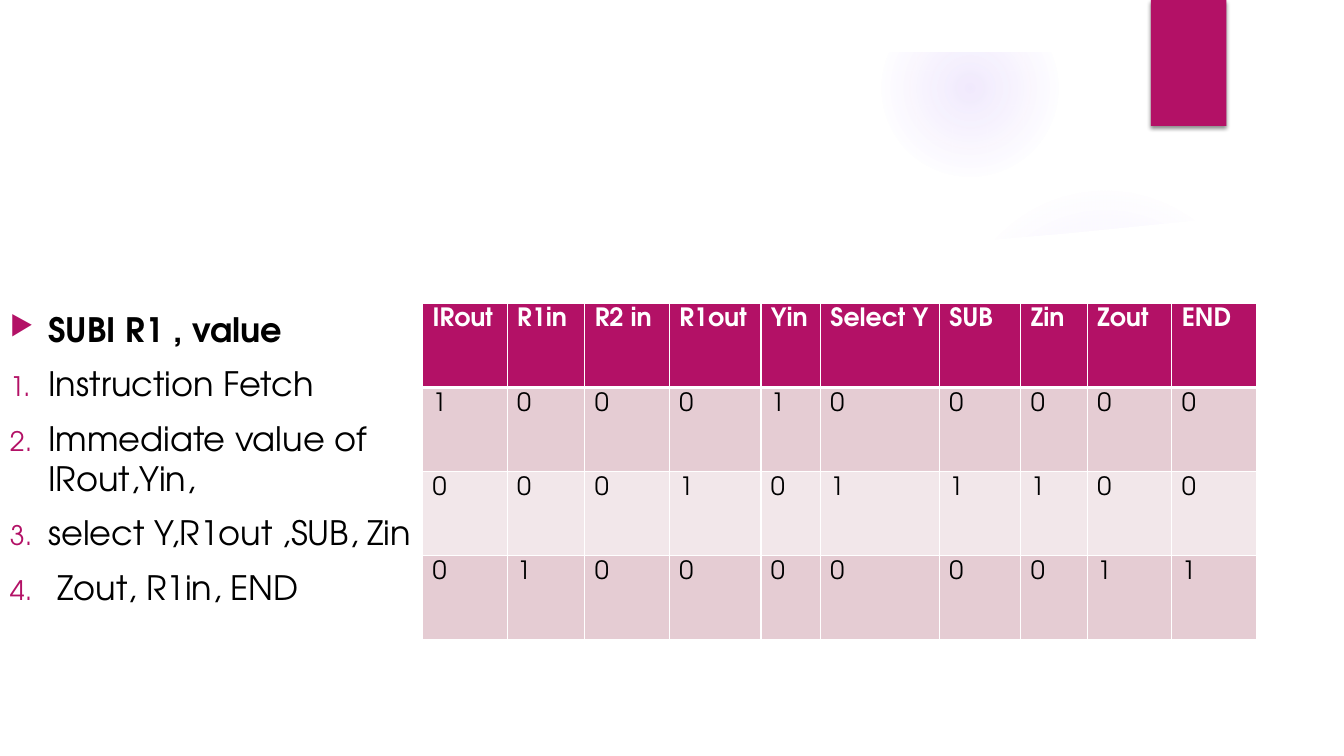
from dataclasses import dataclass
from lxml import etree
from pptx import Presentation
from pptx import util as u
from pptx.dml.color import RGBColor
from pptx.enum import shapes
from pptx.oxml import ns


@dataclass(frozen=True)
class Theme:
    font: str = "TeX Gyre Adventor"
    main: str = "B31166"
    glow: str = "9B6BF2"
    dark: str = "000000"
    white: str = "FFFFFF"
    bands: tuple = ("E5CCD3", "F2E7EA")
    body: int = 24
    cell: int = 18


look = Theme()
deck = Presentation()
deck.slide_width, deck.slide_height = u.Inches(13.33), u.Inches(7.5)
COLS, ROWS = 160, 90  # grid of the whole slide


def across(n):
    return round(deck.slide_width * n / COLS)


def down(n):
    return round(deck.slide_height * n / ROWS)


def place(box):
    left, top, width, height = box
    return across(left), down(top), across(width), down(height)


def node(parent, tag, **attrs):
    return etree.SubElement(parent, ns.qn("a:" + tag), attrs)


def tint(parent, color, alpha=100):
    fill = node(parent, "srgbClr", val=color)
    node(fill, "alpha", val=str(alpha * 1000))


def paint(shape, color):
    shape.shadow.inherit = False
    shape.line.fill.background()
    shape.fill.solid()
    shape.fill.fore_color.rgb = RGBColor.from_string(color)
    return shape


def block(slide, box, color, kind=shapes.MSO_SHAPE.RECTANGLE):
    return paint(slide.shapes.add_shape(kind, *place(box)), color)


def write(frame, lines, size, color, bold=(), before=0):
    """Fill a text frame; bold holds the numbers of the bold lines."""
    frame.word_wrap = True
    for i, line in enumerate(lines):
        para = frame.paragraphs[0] if i == 0 else frame.add_paragraph()
        para.space_before = u.Pt(before)
        run = para.add_run()
        run.text = line
        run.font.name, run.font.size = look.font, u.Pt(size)
        run.font.bold = i in bold
        run.font.color.rgb = RGBColor.from_string(color)
    return frame.paragraphs


def bullet(para, tag, **attrs):
    props = para._p.get_or_add_pPr()
    indent = u.Inches(0.38)
    props.set("marL", str(indent))
    props.set("indent", str(-indent))
    node(node(props, "buClr"), "srgbClr", val=look.main)
    node(props, "buSzPct", val="80000")
    node(props, tag, **attrs)


def glow(slide, box, stops):
    disc = block(slide, box, look.glow, shapes.MSO_SHAPE.OVAL)
    props = disc._element.spPr
    grad = etree.Element(ns.qn("a:gradFill"), rotWithShape="1")
    steps = node(grad, "gsLst")
    for at, alpha in stops:
        tint(node(steps, "gs", pos=str(at * 1000)), look.glow, alpha)
    focus = node(grad, "path", path="circle")
    node(focus, "fillToRect", l="50000", t="50000", r="50000", b="50000")
    props.replace(props.find(ns.qn("a:solidFill")), grad)


def backdrop(slide, box):
    left, top, width, height = box
    # Soft glows
    glow(slide, (left + 113, top + 22, 37, 37), [(0, 7), (36, 6), (69, 0)])
    glow(slide, (left + 105, top, 21, 21), [(0, 14), (36, 7), (73, 0)])
    # White page with a curved upper edge
    edge = [(6, 24.5), (19, 26.2), (34, 27.6), (53, 28.9), (82, 29.8),
            (101, 29.5), (114, 28.9), (127, 27.8), (141, 26.4), (154, 24.5)]
    spots = [(across(left + x), down(top + y))
             for x, y in edge + [(154, 84), (6, 84)]]
    page = slide.shapes.build_freeform(*spots[0])
    page.add_line_segments(spots[1:], close=True)
    paint(page.convert_to_shape(), look.white)
    # White upper margin
    block(slide, (left, top, width, 6.2), look.white)


def ribbon(slide, box):
    tab = block(slide, box, look.main)
    cast = node(tab._element.spPr.find(ns.qn("a:effectLst")), "outerShdw",
                blurRad=str(u.Pt(3)), dist=str(u.Pt(2)), dir="5400000",
                algn="ctr", rotWithShape="0")
    tint(cast, look.dark, 45)


def steps(slide, box, title, lines):
    frame = slide.shapes.add_textbox(*place(box)).text_frame
    head, *rest = write(frame, [title, *lines], look.body, look.dark,
                        bold=(0,), before=10)
    bullet(head, "buChar", char="▶")
    for para in rest:
        bullet(para, "buAutoNum", type="arabicPeriod")


def border(cell, base):
    props = cell._tc.get_or_add_tcPr()
    for i, (side, wide) in enumerate(zip("LRTB", (1, 1, 1, base))):
        line = etree.Element(ns.qn("a:ln" + side), w=str(u.Pt(wide)))
        node(node(line, "solidFill"), "srgbClr", val=look.white)
        props.insert(i, line)


def signals(slide, box, heads, shares, bits):
    data = [heads, *bits]
    _, _, width, height = box
    grid = slide.shapes.add_table(len(data), len(heads), *place(box)).table
    for col, share in zip(grid.columns, shares):
        col.width = across(width * share / sum(shares))
    for r, (row, words) in enumerate(zip(grid.rows, data)):
        row.height = down(height / len(data))
        top = r == 0
        shade = look.main if top else look.bands[(r - 1) % 2]
        for cell, word in zip(row.cells, words):
            cell.fill.solid()
            cell.fill.fore_color.rgb = RGBColor.from_string(shade)
            border(cell, 3 if top else 1)
            write(cell.text_frame, [word], look.cell,
                  look.white if top else look.dark, bold=(0,) if top else ())


slide = deck.slides.add_slide(deck.slide_layouts[6])
backdrop(slide, (0, 0, COLS, ROWS))
ribbon(slide, (137, 0, 9, 15))
steps(slide, (0, 36.2, 51.7, 42.8), "SUBI R1 , value",
      ["Instruction Fetch", "Immediate value of IRout,Yin,",
       "select Y,R1out ,SUB, Zin", " Zout, R1in, END"])
signals(slide, (50.3, 36.1, 99.3, 40.1),
        ["IRout", "R1in", "R2 in", "R1out", "Yin", "Select Y", "SUB",
         "Zin", "Zout", "END"],
        [84, 77, 84, 91, 59, 118, 81, 66, 84, 84],
        ["1000100000", "0001011100", "0100000011"])
deck.save("out.pptx")
